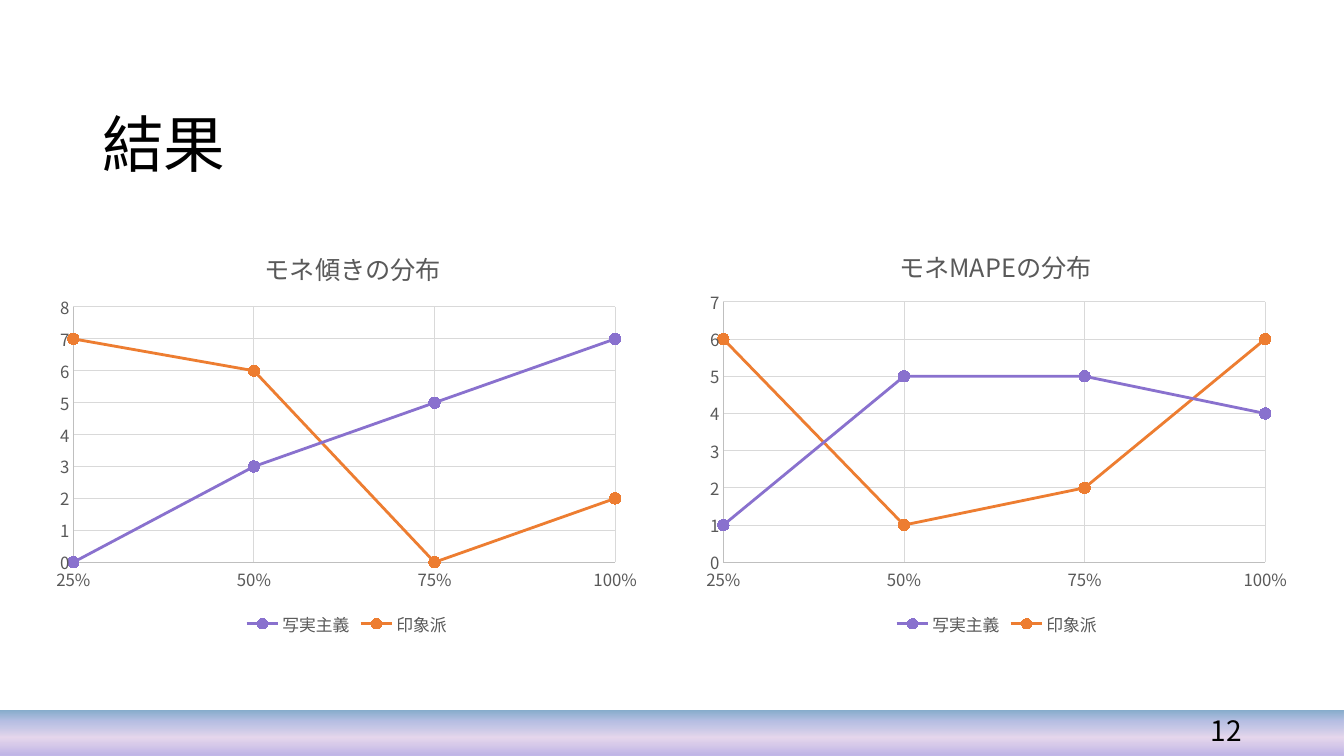
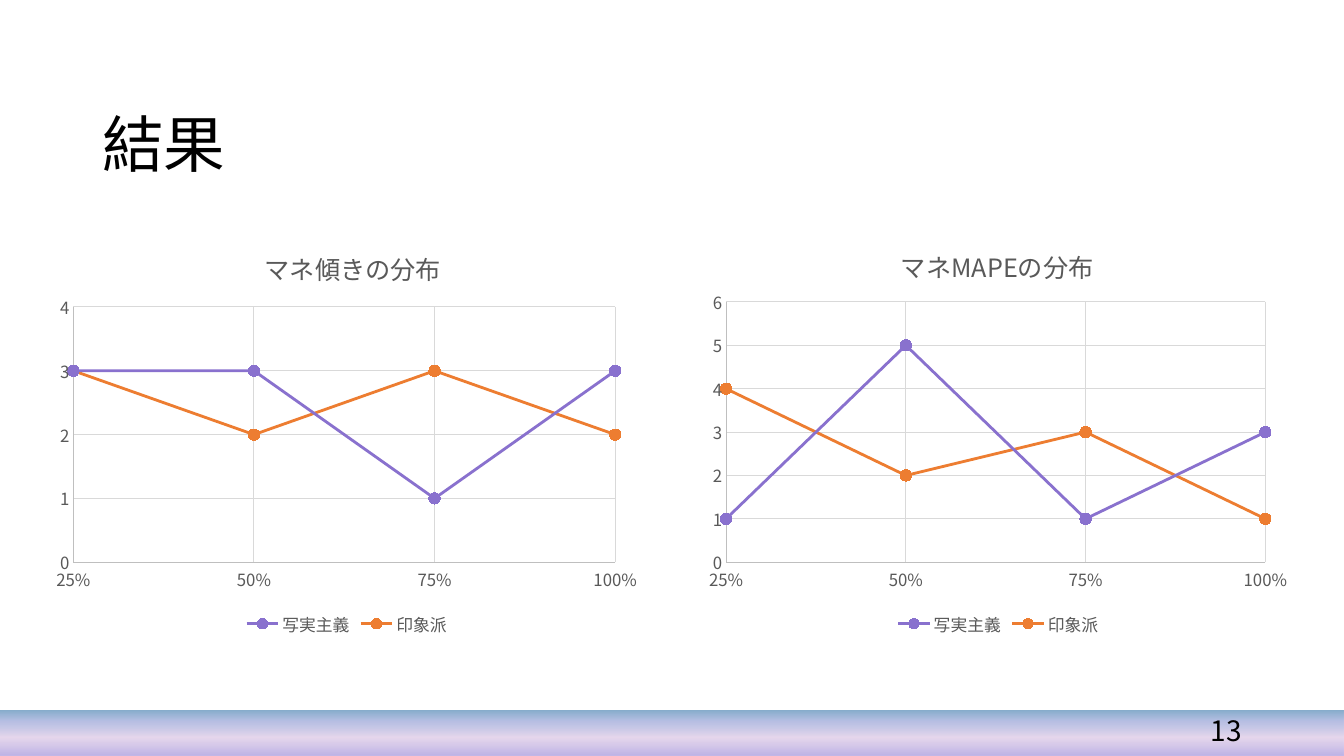
from pptx import Presentation
from pptx.chart.data import XyChartData
from pptx.dml.color import RGBColor
from pptx.enum.chart import XL_CHART_TYPE as ChartType
from pptx.enum.chart import XL_LEGEND_POSITION as LegendPosition
from pptx.enum.chart import XL_MARKER_STYLE as MarkerStyle
from pptx.enum.chart import XL_TICK_MARK as TickMark
from pptx.enum.shapes import MSO_SHAPE as Shape
from pptx.enum.text import MSO_ANCHOR as Anchor
from pptx.enum.text import PP_ALIGN as Align
from pptx.oxml import parse_xml
from pptx.oxml.ns import nsdecls, qn
from pptx.util import Pt

FONT = "Noto Sans CJK JP"
BLACK = RGBColor(0x00, 0x00, 0x00)
GREY_TEXT = RGBColor(0x59, 0x59, 0x59)
AXIS_GREY = RGBColor(0xBF, 0xBF, 0xBF)
GRID_GREY = RGBColor(0xD9, 0xD9, 0xD9)
PURPLE = RGBColor(0x89, 0x71, 0xCE)
ORANGE = RGBColor(0xED, 0x7D, 0x31)

# position %, colour, opacity %
BAND_STOPS = [
    (0, RGBColor(0xBD, 0xB2, 0xE7), 100),
    (41, RGBColor(0xE1, 0xD0, 0xE9), 83),
    (76, RGBColor(0x98, 0xA4, 0xD8), 70),
    (100, RGBColor(0x53, 0x89, 0xB5), 70),
]

HEADING = "結果"
SHARES = [0.25, 0.5, 0.75, 1]
MOVEMENTS = [("写実主義", PURPLE), ("印象派", ORANGE)]
# chart title, top of the value axis, values per movement
SLIDES = [
    {
        "number": "12",
        "right_left": 496,
        "slope": ("モネ傾きの分布", 8, [(0, 3, 5, 7), (7, 6, 0, 2)]),
        "mape": ("モネMAPEの分布", 7, [(1, 5, 5, 4), (6, 1, 2, 6)]),
    },
    {
        "number": "13",
        "right_left": 498,
        "slope": ("マネ傾きの分布", 4, [(3, 3, 1, 3), (3, 2, 3, 2)]),
        "mape": ("マネMAPEの分布", 6, [(1, 5, 1, 3), (4, 2, 3, 1)]),
    },
]

WIDTH, HEIGHT = 960, 540
BAND_HEIGHT = 32.4
CHART_TOP, CHART_HEIGHT = 157.5, 300
SLOPE_LEFT, CHARTS_RIGHT = 31.7, 928
# fractions of the chart area
SLOPE_LAYOUT = {
    "title": {"x": 0.357, "y": 0.053},
    "plot": {"x": 0.048, "y": 0.206, "w": 0.896, "h": 0.608},
}
MAPE_LAYOUT = {
    "title": {"x": 0.331, "y": 0.048},
    "plot": {"x": 0.048, "y": 0.194, "w": 0.896, "h": 0.62},
}

AXIS_FORMAT = {
    "has_major_gridlines": True,
    "has_minor_gridlines": False,
    "major_tick_mark": TickMark.NONE,
    "minor_tick_mark": TickMark.NONE,
}
LEGEND_FORMAT = {"position": LegendPosition.BOTTOM, "include_in_layout": False}


def set_all(target, values):
    for name, value in values.items():
        setattr(target, name, value)


def style_font(font, size, color):
    set_all(font, {"name": FONT, "size": Pt(size), "bold": False})
    font.color.rgb = color


def style_line(line, color, width):
    line.color.rgb = color
    line.width = Pt(width)


def use_font_for_japanese(element):
    """Repeat each Latin typeface as the East Asian one."""
    for latin in list(element.iter(qn("a:latin"))):
        latin.addnext(parse_xml(f'<a:ea {nsdecls("a")} typeface="{FONT}"/>'))


def add_band(slide, top, angle):
    band = slide.shapes.add_shape(
        Shape.RECTANGLE, Pt(0), Pt(top), Pt(WIDTH), Pt(BAND_HEIGHT))
    band.shadow.inherit = False
    band.line.fill.background()
    band.fill.gradient()
    stops = "".join(
        f'<a:gs pos="{position * 1000}"><a:srgbClr val="{color}">'
        f'<a:alpha val="{opacity * 1000}"/></a:srgbClr></a:gs>'
        for position, color, opacity in BAND_STOPS)
    gradient = band.element.spPr.find(qn("a:gradFill"))
    gradient.getparent().replace(gradient, parse_xml(
        f'<a:gradFill {nsdecls("a")} rotWithShape="1"><a:gsLst>{stops}</a:gsLst>'
        f'<a:lin ang="{angle * 60000}" scaled="0"/></a:gradFill>'))


def add_text(slide, text, box, size, **paragraph_format):
    frame = slide.shapes.add_textbox(*map(Pt, box)).text_frame
    set_all(frame, {"word_wrap": True, "vertical_anchor": Anchor.MIDDLE})
    paragraph = frame.paragraphs[0]
    set_all(paragraph, paragraph_format)
    run = paragraph.add_run()
    run.text = text
    style_font(run.font, size, BLACK)


def place(part, index, fractions, target=""):
    """Give a chart part a manual layout as its child at index."""
    for old in part.findall(qn("c:layout")):
        part.remove(old)
    modes = "".join(f'<c:{axis}Mode val="edge"/>' for axis in "xy")
    values = "".join(f'<c:{k} val="{v}"/>' for k, v in fractions.items())
    part.insert(index, parse_xml(
        f'<c:layout {nsdecls("c")}><c:manualLayout>{target}{modes}{values}'
        '</c:manualLayout></c:layout>'))


def style_axis(axis, low, high, step, number_format):
    set_all(axis, AXIS_FORMAT)
    set_all(axis, {"minimum_scale": low, "maximum_scale": high, "major_unit": step})
    style_line(axis.format.line, AXIS_GREY, 0.75)
    style_line(axis.major_gridlines.format.line, GRID_GREY, 0.75)
    labels = axis.tick_labels
    set_all(labels, {"number_format": number_format, "number_format_is_linked": False})
    style_font(labels.font, 12, GREY_TEXT)


def add_distribution(slide, content, left, right, layout):
    title, top_value, counts = content
    data = XyChartData()
    for (movement, _), values in zip(MOVEMENTS, counts):
        series = data.add_series(movement)
        for share, value in zip(SHARES, values):
            series.add_data_point(share, value)
    chart = slide.shapes.add_chart(
        ChartType.XY_SCATTER_LINES, Pt(left), Pt(CHART_TOP),
        Pt(right - left), Pt(CHART_HEIGHT), data).chart
    style_font(chart.font, 12, BLACK)

    chart.has_title = True
    heading = chart.chart_title.text_frame
    heading.text = title
    style_font(heading.paragraphs[0].runs[0].font, 18, GREY_TEXT)
    place(chart.chart_title.element, 1, layout["title"])
    place(chart.element.find(".//" + qn("c:plotArea")), 0, layout["plot"],
          '<c:layoutTarget val="inner"/>')

    chart.has_legend = True
    set_all(chart.legend, LEGEND_FORMAT)
    style_font(chart.legend.font, 12, GREY_TEXT)
    style_axis(chart.category_axis, SHARES[0], SHARES[-1], 0.25, "0%")
    style_axis(chart.value_axis, 0, top_value, 1, "General")

    plot = chart.plots[0]
    plot.vary_by_categories = False
    for series, (_, color) in zip(plot.series, MOVEMENTS):
        style_line(series.format.line, color, 2)
        marker = series.marker
        set_all(marker, {"style": MarkerStyle.CIRCLE, "size": 8})
        marker.format.fill.solid()
        marker.format.fill.fore_color.rgb = color
        style_line(marker.format.line, color, 0.75)
    use_font_for_japanese(chart.element)


def add_frame(slide, number):
    """Add the bands, heading and page number that every slide has."""
    add_band(slide, -2, 90)
    add_band(slide, HEIGHT - BAND_HEIGHT, 270)
    add_text(slide, HEADING, (66, 53.5, 828, 104), 44, line_spacing=0.9)
    add_text(slide, number, (678, 507.6, 216, 28.8), 20, alignment=Align.RIGHT)
    use_font_for_japanese(slide.element)


def main():
    deck = Presentation()
    set_all(deck, {"slide_width": Pt(WIDTH), "slide_height": Pt(HEIGHT)})
    for content in SLIDES:
        slide = deck.slides.add_slide(deck.slide_layouts[6])
        add_frame(slide, content["number"])
        mape_left = content["right_left"]
        add_distribution(slide, content["mape"], mape_left, CHARTS_RIGHT, MAPE_LAYOUT)
        add_distribution(slide, content["slope"], SLOPE_LEFT, SLOPE_LEFT + 432, SLOPE_LAYOUT)
    deck.save("out.pptx")


if __name__ == "__main__":
    main()
